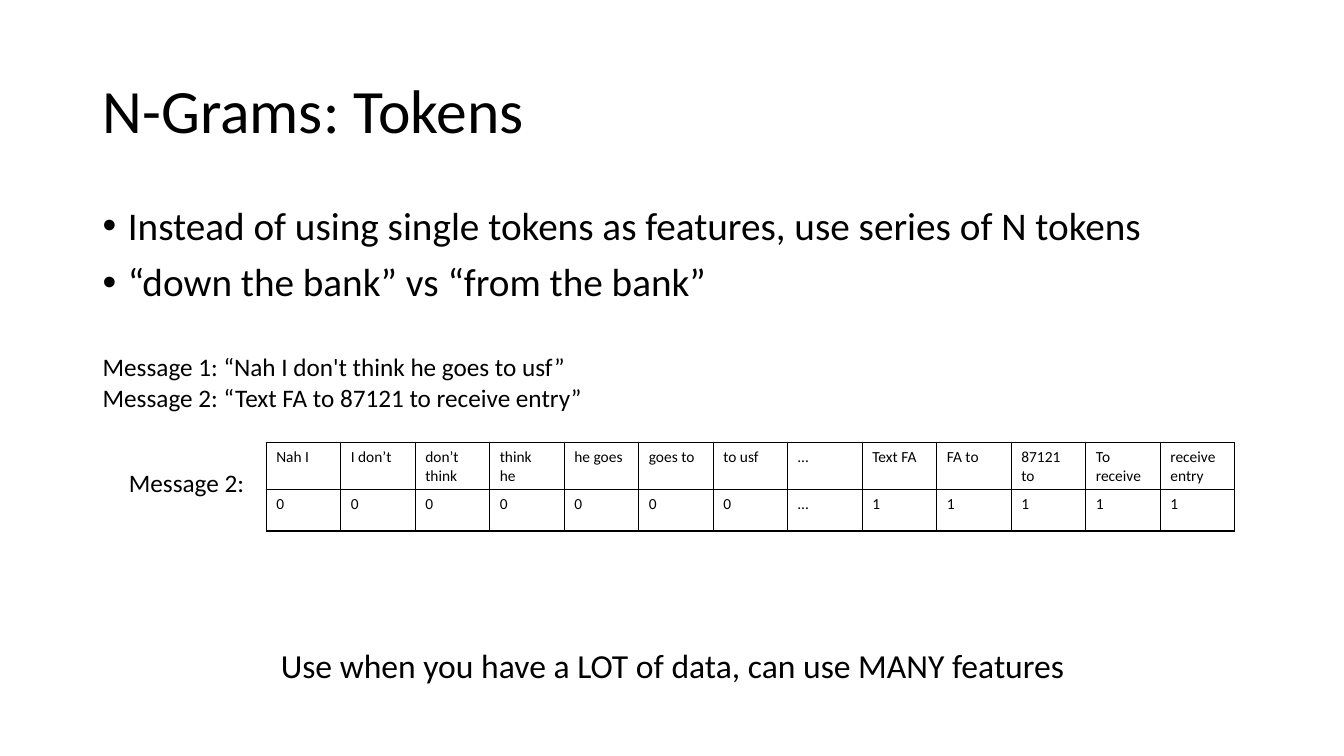
from lxml import etree
from pptx import Presentation
from pptx.dml.color import RGBColor
from pptx.enum import text
from pptx.oxml import ns
from pptx.util import Inches, Pt

BLACK = RGBColor(0, 0, 0)
FONT = "Calibri"
MARGIN, CONTENT_WIDTH = 0.92, 11.5
ROW_HEIGHT = 0.41
BIGRAM_COUNTS = [
    ("Nah I", "0"), ("I don’t", "0"), ("don’t\nthink", "0"), ("think\nhe", "0"),
    ("he goes", "0"), ("goes to", "0"), ("to usf", "0"), ("…", "…"),
    ("Text FA", "1"), ("FA to", "1"), ("87121 to", "1"), ("To receive", "1"),
    ("receive entry", "1"),
]


def style_runs(frame, size):
    for paragraph in frame.paragraphs:
        for run in paragraph.runs:
            run.font.name = FONT
            run.font.size = Pt(size)
            run.font.color.rgb = BLACK


def add_text(slide, box, wording, size, wrap=True, spacing=1.0, before=0,
             anchor=text.MSO_ANCHOR.TOP, align=text.PP_ALIGN.LEFT):
    frame = slide.shapes.add_textbox(*map(Inches, box)).text_frame
    frame.word_wrap = wrap
    frame.vertical_anchor = anchor
    frame.text = wording
    for paragraph in frame.paragraphs:
        paragraph.alignment = align
        paragraph.line_spacing = spacing
        paragraph.space_before = Pt(before)
    style_runs(frame, size)
    return frame


def add_bullets(slide, box, points):
    frame = add_text(slide, box, "\n".join(points), 28, spacing=0.9, before=10)
    for paragraph in frame.paragraphs:
        properties = paragraph._p.get_or_add_pPr()
        properties.set("marL", str(Inches(0.25)))
        properties.set("indent", str(-Inches(0.25)))
        etree.SubElement(properties, ns.qn("a:buFont"), typeface="Arial")
        etree.SubElement(properties, ns.qn("a:buChar"), char="•")


def outline_cell(cell):
    """Draw a thin black line on all four sides of the cell."""
    properties = cell._tc.get_or_add_tcPr()
    for side in ("lnL", "lnR", "lnT", "lnB"):
        line = etree.SubElement(properties, ns.qn(f"a:{side}"), w=str(Pt(1)))
        fill = etree.SubElement(line, ns.qn("a:solidFill"))
        etree.SubElement(fill, ns.qn("a:srgbClr"), val=str(BLACK))


def add_bigram_table(slide, box):
    bigrams = slide.shapes.add_table(2, len(BIGRAM_COUNTS), *map(Inches, box)).table
    bigrams.first_row = bigrams.horz_banding = False
    for row in bigrams.rows:
        row.height = Inches(ROW_HEIGHT)
    for column, entries in enumerate(BIGRAM_COUNTS):
        bigrams.columns[column].width = Inches(box[2] / len(BIGRAM_COUNTS))
        for row, entry in enumerate(entries):
            cell = bigrams.cell(row, column)
            cell.text_frame.text = entry
            style_runs(cell.text_frame, 11)
            outline_cell(cell)
            cell.fill.background()


def add_message_example(slide, left, top):
    """Two messages above the labelled table of bigram counts."""
    add_text(slide, (left, top, 10.09, 1.01),
             "Message 1: “Nah I don't think he goes to usf”\n"
             "Message 2: “Text FA to 87121 to receive entry”", 18)
    add_bigram_table(slide, (left + 1.72, top + 0.95, 9.61, 2 * ROW_HEIGHT))
    add_text(slide, (left + 0.26, top + 1.15, 1.36, 0.4), "Message 2:", 18, wrap=False)


def build_ngram_slide(deck):
    slide = deck.slides.add_slide(deck.slide_layouts[6])
    add_text(slide, (MARGIN, 0.4, CONTENT_WIDTH, 1.45), "N-Grams: Tokens", 44,
             spacing=0.9, anchor=text.MSO_ANCHOR.MIDDLE)
    add_bullets(slide, (MARGIN, 2, CONTENT_WIDTH, 1.2), [
        "Instead of using single tokens as features, use series of N tokens",
        "“down the bank” vs “from the bank”",
    ])
    add_message_example(slide, MARGIN, 3.44)
    add_text(slide, (MARGIN, 6.39, CONTENT_WIDTH, 0.57),
             "Use when you have a LOT of data, can use MANY features", 24,
             spacing=0.9, before=10, align=text.PP_ALIGN.CENTER)


def main():
    deck = Presentation()
    deck.slide_width, deck.slide_height = Inches(13.33), Inches(7.5)
    build_ngram_slide(deck)
    deck.save("out.pptx")


if __name__ == "__main__":
    main()
